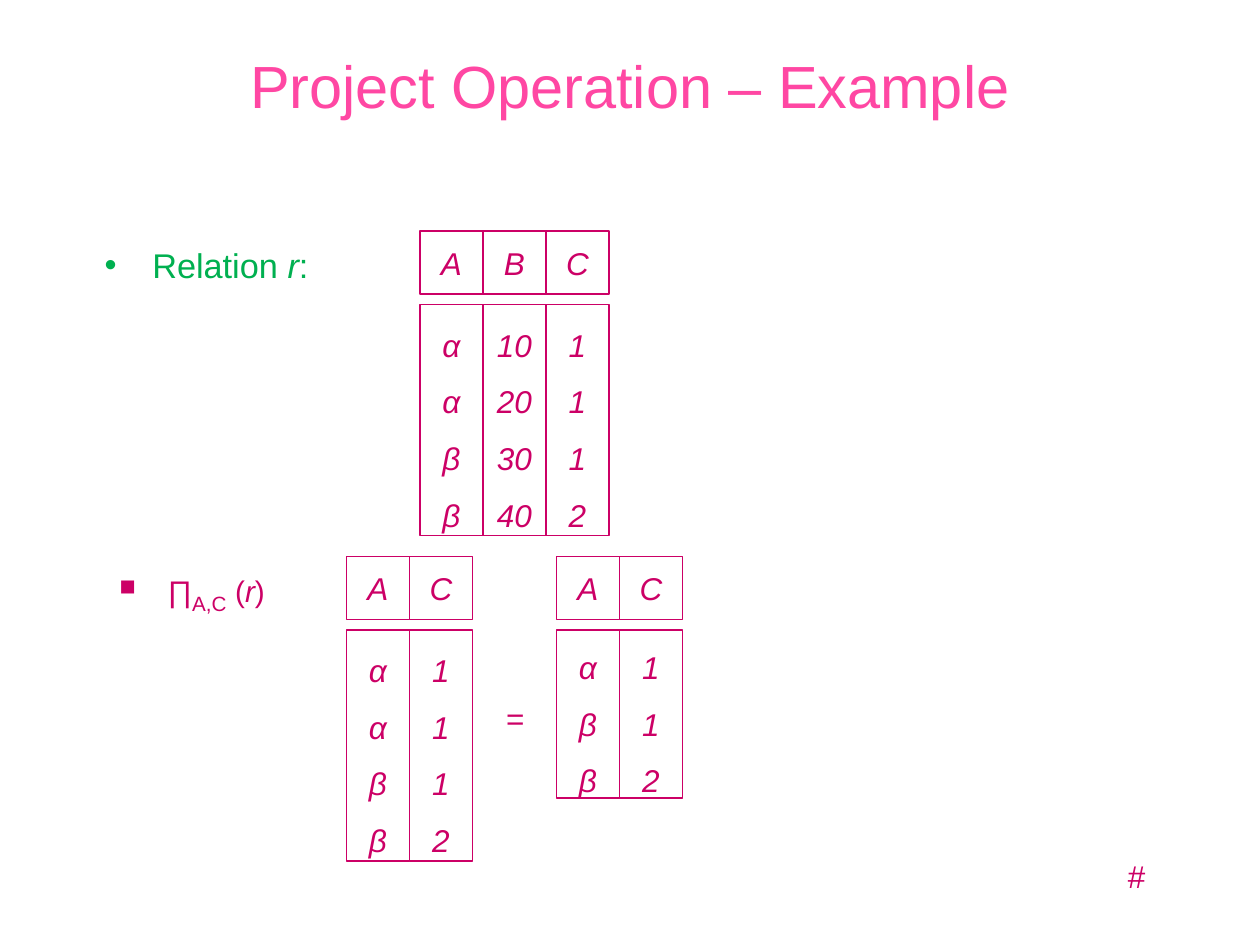
from lxml import etree
from pptx import Presentation, util as u
from pptx.dml.color import RGBColor
from pptx.enum import shapes, text
from pptx.oxml import ns

MAGENTA, PINK, GREEN, WHITE = "CC0066", "FF47A3", "00B050", "FFFFFF"
GRID = 1 / 12  # relation tables sit on a twelfth-of-an-inch grid
CELL, GAP = 6, 1  # in grid steps


def rgb(value):
    return RGBColor.from_string(value)


class SlideBuilder:
    font = "Arial"
    size = 18

    def __init__(self, slide):
        self.slide = slide

    def place(self, sp, left, top, width, height):
        sp.left, sp.top = u.Inches(left), u.Inches(top)
        sp.width, sp.height = u.Inches(width), u.Inches(height)

    def frame(self, sp, anchor=text.MSO_ANCHOR.TOP, wrap=True):
        tf = sp.text_frame
        tf.word_wrap = wrap
        tf.auto_size = text.MSO_AUTO_SIZE.NONE
        tf.vertical_anchor = anchor
        tf.margin_left = tf.margin_right = u.Inches(0.1)
        tf.margin_top = tf.margin_bottom = u.Inches(0.05)
        return tf

    def run(self, p, words, color=MAGENTA, size=None, italic=False, baseline=0):
        r = p.add_run()
        r.text = words
        r.font.name = self.font
        r.font.size = u.Pt(size or self.size)
        r.font.italic = italic
        r.font.color.rgb = rgb(color)
        if baseline:
            r.font._element.set("baseline", str(baseline * 1000))

    def title(self, words, box):
        sp = self.slide.shapes.title
        self.place(sp, *box)
        p = self.frame(sp, text.MSO_ANCHOR.MIDDLE).paragraphs[0]
        p.alignment = text.PP_ALIGN.CENTER
        self.run(p, words, PINK, 34)

    def bullet(self, index, box, char, color, runs, percent=100, spacing=1.0):
        sp = self.slide.placeholders[index]
        self.place(sp, *box)
        p = self.frame(sp).paragraphs[0]
        pPr = p._p.get_or_add_pPr()
        pPr.set("marL", str(u.Inches(0.38)))
        pPr.set("indent", str(u.Inches(-0.38)))
        bu_color = etree.SubElement(pPr, ns.qn("a:buClr"))
        etree.SubElement(bu_color, ns.qn("a:srgbClr"), val=color)
        etree.SubElement(pPr, ns.qn("a:buSzPct"), val=str(percent * 1000))
        etree.SubElement(pPr, ns.qn("a:buChar"), char=char)
        p.line_spacing = spacing
        p.space_before = u.Pt(0)
        for words, style in runs:
            self.run(p, words, color, **style)

    def label(self, words, box, italic=False, align=text.PP_ALIGN.LEFT):
        sp = self.slide.shapes.add_textbox(*(u.Inches(v) for v in box))
        p = self.frame(sp, wrap=False).paragraphs[0]
        p.alignment = align
        self.run(p, words, italic=italic)

    def cell(self, lines, left, top, height, spacing=1.0):
        box = (u.Inches(v * GRID) for v in (left, top, CELL, height))
        sp = self.slide.shapes.add_shape(shapes.MSO_SHAPE.RECTANGLE, *box)
        sp.shadow.inherit = False
        sp.fill.solid()
        sp.fill.fore_color.rgb = rgb(WHITE)
        sp.line.color.rgb = rgb(MAGENTA)
        sp.line.width = u.Pt(0.75)
        tf = self.frame(sp, text.MSO_ANCHOR.MIDDLE, wrap=False)
        for i, words in enumerate(lines):
            p = tf.add_paragraph() if i else tf.paragraphs[0]
            p.alignment = text.PP_ALIGN.CENTER
            p.line_spacing = spacing
            self.run(p, words, italic=True)

    def relation(self, columns, left, top, height):
        """Header cells above one tall cell per column, in grid steps."""
        for i, name in enumerate(columns):
            self.cell([name], left + i * CELL, top, CELL)
        for i, values in enumerate(columns.values()):
            self.cell(values, left + i * CELL, top + CELL + GAP, height, 1.5)


def main():
    prs = Presentation()
    prs.slide_width, prs.slide_height = u.Inches(10), u.Inches(7.5)
    # The two-content layout has one placeholder for each bullet
    s = SlideBuilder(prs.slides.add_slide(prs.slide_layouts[3]))

    # Title and bullets
    s.title("Project Operation – Example", (0.75, 0.17, 8.5, 1))
    s.bullet(1, (0.73, 1.89, 7.69, 0.45), "•", GREEN, [
        ("Relation", {"size": 19.6}),
        (" r", {"size": 19.6, "italic": True}),
        (":", {"size": 19.6}),
    ])
    s.bullet(2, (0.85, 4.45, 7.69, 0.45), "■", MAGENTA, [
        ("∏", {"size": 17}),
        ("A,C", {"size": 20.4, "baseline": -25}),
        (" (", {"size": 17}),
        ("r", {"size": 17, "italic": True}),
        (")", {"size": 17}),
    ], percent=90, spacing=0.9)

    # Relation r
    r = {"A": "ααββ", "B": ["10", "20", "30", "40"], "C": "1112"}
    s.relation(r, 40, 22, 22)

    # Projection with duplicates = projection without duplicates
    s.relation({name: r[name] for name in "AC"}, 33, 53, 22)
    s.label("=", (3.92, 5.5, 0.34, 0.4), align=text.PP_ALIGN.CENTER)
    s.relation({"A": "αββ", "C": "112"}, 53, 53, 16)

    # Slide number mark
    s.label("#", (8.85, 6.75, 0.34, 0.4), italic=True)

    prs.save("out.pptx")


if __name__ == "__main__":
    main()
